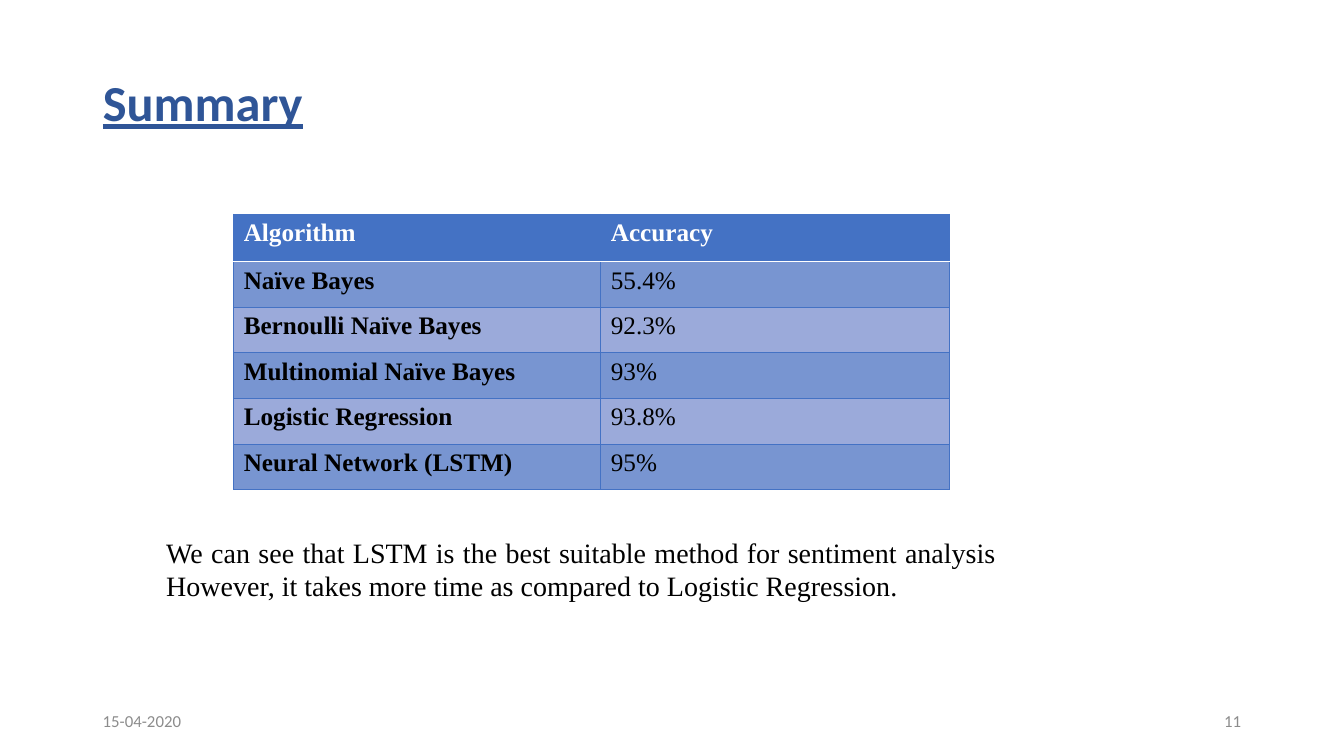
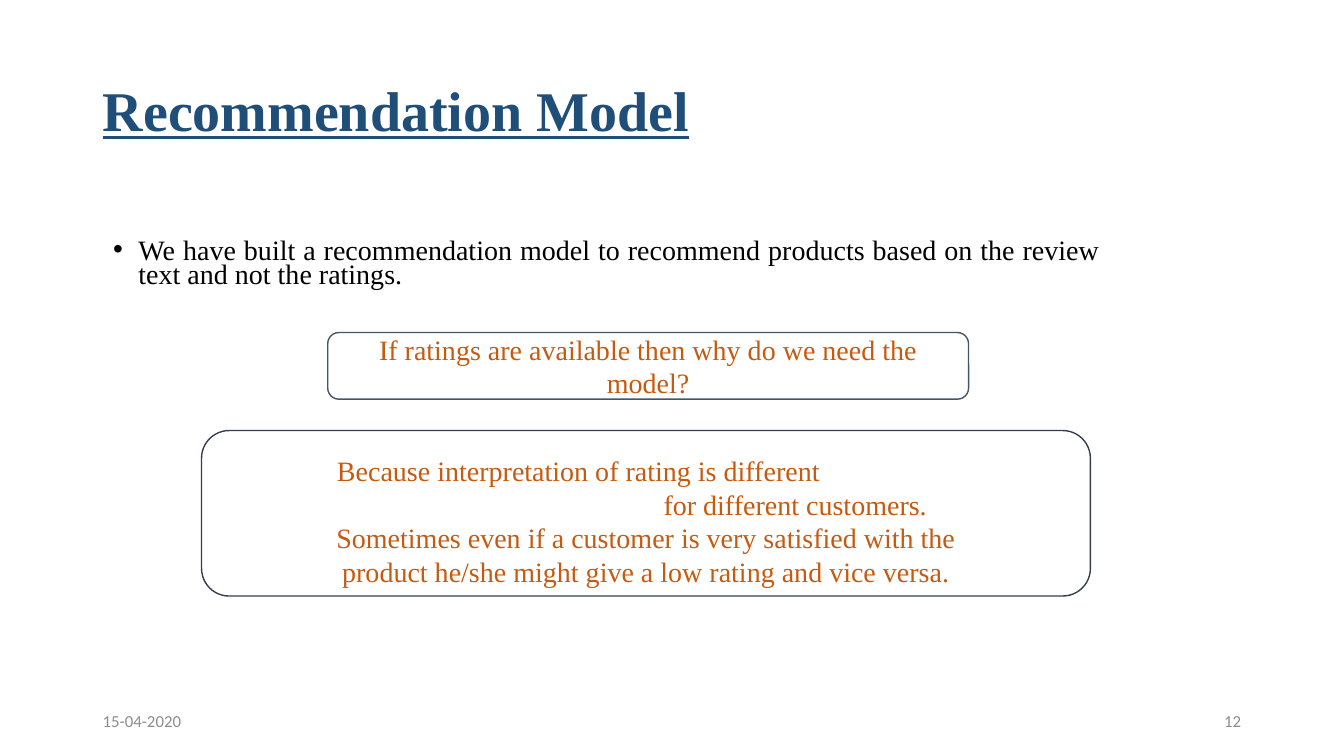
from lxml import etree
from pptx import Presentation
from pptx import util as u
from pptx.dml import color
from pptx.enum import shapes, text
from pptx.oxml import ns

SERIF = "Times New Roman"
SANS = "Calibri"
BLUE = "4472C4"
BANDS = ("7895D1", "9BAADA")
ORANGE = "C55A11"
GREY = "8C8C8C"
BLACK = "000000"
WHITE = "FFFFFF"
MARGIN = 2.34
FOOTER_WIDTH = 7.62
SLIDE_WIDTH = 33.87
DATE = "15-04-2020"

RESULTS = [
    ("Algorithm", "Accuracy"),
    ("Naïve Bayes", "55.4%"),
    ("Bernoulli Naïve Bayes", "92.3%"),
    ("Multinomial Naïve Bayes", "93%"),
    ("Logistic Regression", "93.8%"),
    ("Neural Network (LSTM)", "95%"),
]


def rgb(value):
    return color.RGBColor.from_string(value)


def place(item, left, top, width, height):
    item.left, item.top = u.Cm(left), u.Cm(top)
    item.width, item.height = u.Cm(width), u.Cm(height)


def write(para, wording, size, colour, font=SERIF, bold=False, underline=False, align="LEFT"):
    para.text = wording
    para.alignment = getattr(text.PP_ALIGN, align)
    for span in para.runs:
        span.font.size = u.Pt(size)
        span.font.name = font
        span.font.bold = bold
        span.font.underline = underline
        span.font.color.rgb = rgb(colour)


def indent(para, left, first=0):
    properties = para._p.get_or_add_pPr()
    properties.set("marL", str(u.Cm(left)))
    properties.set("indent", str(u.Cm(first)))
    return properties


def add_bullet(para):
    properties = indent(para, 0.64, -0.64)
    etree.SubElement(properties, ns.qn("a:buFont")).set("typeface", "Arial")
    etree.SubElement(properties, ns.qn("a:buChar")).set("char", "•")


def add_text(page, wording, left, top, width, height, size=20, colour=BLACK,
             font=SERIF, align="LEFT", anchor="TOP"):
    box = page.shapes.add_textbox(u.Cm(left), u.Cm(top), u.Cm(width), u.Cm(height))
    box.text_frame.word_wrap = True
    box.text_frame.vertical_anchor = getattr(text.MSO_ANCHOR, anchor)
    para = box.text_frame.paragraphs[0]
    write(para, wording, size, colour, font, align=align)
    return para


def add_page(deck, title, top, size, colour, font, number):
    page = deck.slides.add_slide(deck.slide_layouts[5])
    heading = page.shapes.title
    place(heading, MARGIN, top, SLIDE_WIDTH - 2 * MARGIN, 3.68)
    frame = heading.text_frame
    frame.auto_size = text.MSO_AUTO_SIZE.NONE
    frame.vertical_anchor = text.MSO_ANCHOR.MIDDLE
    write(frame.paragraphs[0], title, size, colour, font, bold=True, underline=True)
    frame.paragraphs[0].line_spacing = 0.9
    right = SLIDE_WIDTH - MARGIN - FOOTER_WIDTH
    for wording, left, align in ((DATE, MARGIN, "LEFT"), (number, right, "RIGHT")):
        add_text(page, wording, left, 17.65, FOOTER_WIDTH, 1.02, 12, GREY, SANS, align, "MIDDLE")
    return page


def set_border(cell, side, colour, width):
    properties = cell._tc.get_or_add_tcPr()
    line = etree.Element(ns.qn("a:ln" + side), w=str(u.Pt(width)))
    fill = etree.SubElement(line, ns.qn("a:solidFill"))
    etree.SubElement(fill, ns.qn("a:srgbClr"), val=colour)
    properties.insert(len(properties.findall("*")) - 1, line)


def add_results(page, rows, left, top, widths, header_height, row_height):
    height = header_height + row_height * (len(rows) - 1)
    table = page.shapes.add_table(len(rows), len(widths), u.Cm(left), u.Cm(top),
                                  u.Cm(sum(widths)), u.Cm(height)).table
    table.horz_banding = False
    for column, width in zip(table.columns, widths):
        column.width = u.Cm(width)
    for r, values in enumerate(rows):
        header = r == 0
        table.rows[r].height = u.Cm(header_height if header else row_height)
        for c, value in enumerate(values):
            cell = table.cell(r, c)
            write(cell.text_frame.paragraphs[0], value, 18, WHITE if header else BLACK,
                  bold=header or c == 0)
            cell.fill.solid()
            cell.fill.fore_color.rgb = rgb(BLUE if header else BANDS[(r - 1) % 2])
            white_side = {0: "B", 1: "T"}.get(r)
            for side in "LRTB":
                white = side == white_side
                set_border(cell, side, WHITE if white else BLUE, 1 if white else 0.5)


def add_rounded(page, left, top, width, height, line, inset, inset_top=0.13):
    box = page.shapes.add_shape(shapes.MSO_SHAPE.ROUNDED_RECTANGLE,
                                u.Cm(left), u.Cm(top), u.Cm(width), u.Cm(height))
    box.shadow.inherit = False
    box.fill.background()
    box.line.color.rgb = rgb(line)
    box.line.width = u.Pt(1)
    frame = box.text_frame
    frame.word_wrap = True
    frame.margin_left = frame.margin_right = u.Cm(inset)
    frame.margin_top = u.Cm(inset_top)
    frame.vertical_anchor = text.MSO_ANCHOR.MIDDLE
    return frame


def build_summary(deck):
    page = add_page(deck, "Summary", 0.81, 36, "2F5597", SANS, "11")
    add_results(page, RESULTS, 5.89, 5.4, (9.25, 8.79), 1.19, 1.15)
    add_text(page, "We can see that LSTM is the best suitable method for sentiment analysis "
             "However, it takes more time as compared to Logistic Regression.",
             3.94, 13.36, 21.42, 1.96, align="JUSTIFY")


def build_recommendation(deck):
    page = add_page(deck, "Recommendation Model", 1.02, 40, "1F4E79", SERIF, "12")
    para = add_text(page, "We have built a recommendation model to recommend products "
                    "based on the review text and not the ratings.",
                    2.6, 5.97, 25.37, 1.5, align="JUSTIFY")
    para.line_spacing = 0.7
    add_bullet(para)

    question = add_rounded(page, 8.26, 8.38, 16.15, 1.68, "44546A", 0.1)
    write(question.paragraphs[0], "If ratings are available then why do we need the model?",
          20, ORANGE, align="CENTER")

    answer = add_rounded(page, 5.08, 10.85, 22.4, 4.17, "333F50", 2.98, 0.5)
    lines = (
        ("Because interpretation of rating is different", "LEFT", 0.23),
        ("for different customers.", "LEFT", 8.46),
        ("Sometimes even if a customer is very satisfied with the product "
         "he/she might give a low rating and vice versa.", "CENTER", 0),
    )
    for i, (wording, align, left) in enumerate(lines):
        para = answer.add_paragraph() if i else answer.paragraphs[0]
        write(para, wording, 20, ORANGE, align=align)
        indent(para, left)


def main():
    deck = Presentation()
    deck.slide_width, deck.slide_height = u.Cm(SLIDE_WIDTH), u.Cm(19.05)
    build_summary(deck)
    build_recommendation(deck)
    deck.save("out.pptx")


if __name__ == "__main__":
    main()
